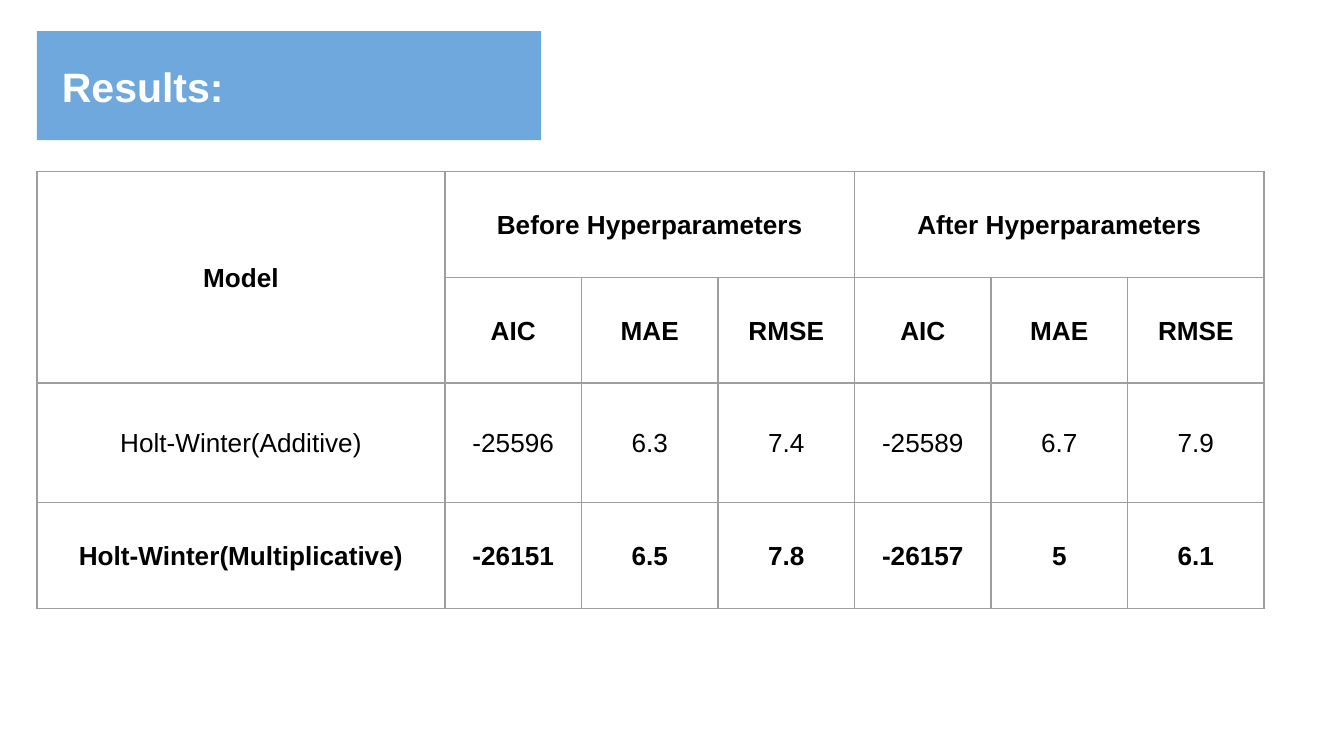
from lxml.etree import SubElement
from pptx import Presentation
from pptx.dml.color import RGBColor
from pptx.enum.shapes import MSO_SHAPE as Preset
from pptx.enum.text import MSO_ANCHOR as Anchor, MSO_AUTO_SIZE as AutoSize, PP_ALIGN as Align
from pptx.oxml.ns import qn
from pptx.util import Cm, Pt


def color(hex_code):
    return RGBColor.from_string(hex_code)


class ResultsSlide:
    FONT = "Arial"
    BLUE, WHITE, BLACK, GREY = "6FA8DC", "FFFFFF", "000000", "9E9E9E"

    def __init__(self, deck):
        self.slide = deck.slides.add_slide(deck.slide_layouts[5])
        self.shapes = self.slide.shapes

    def add_text(self, frame, text, size, hex_code, bold, align):
        paragraph = frame.paragraphs[0]
        paragraph.alignment = align
        run = paragraph.add_run()
        run.text = text
        run.font.name = self.FONT
        run.font.size = Pt(size)
        run.font.bold = bold
        run.font.color.rgb = color(hex_code)

    def banner(self, left, top, width, height):
        band = self.shapes.add_shape(Preset.RECTANGLE, Cm(left), Cm(top), Cm(width), Cm(height))
        band.shadow.inherit = False
        band.fill.solid()
        band.fill.fore_color.rgb = color(self.BLUE)
        band.line.fill.background()

    def title(self, text, left, top, width, height):
        heading = self.shapes.title
        heading.left, heading.top = Cm(left), Cm(top)
        heading.width, heading.height = Cm(width), Cm(height)
        frame = heading.text_frame
        frame.auto_size = AutoSize.NONE
        frame.word_wrap = True
        frame.vertical_anchor = Anchor.BOTTOM
        frame.margin_left = frame.margin_right = Cm(0.25)
        frame.margin_top = frame.margin_bottom = Cm(0.25)
        self.add_text(frame, text, 22, self.WHITE, True, Align.LEFT)
        # The title stands in front of the banner
        self.shapes.element.append(heading.element)

    def borders(self, cell):
        properties = cell._tc.get_or_add_tcPr()
        for side in ("a:lnL", "a:lnR", "a:lnT", "a:lnB"):
            line = SubElement(properties, qn(side), w=str(Pt(0.75)))
            fill = SubElement(line, qn("a:solidFill"))
            SubElement(fill, qn("a:srgbClr"), val=self.GREY)

    def table(self, rows, bold_rows, merges, left, top, widths, heights):
        grid = self.shapes.add_table(len(rows), len(widths), Cm(left), Cm(top),
                                     Cm(sum(widths)), Cm(sum(heights))).table
        grid.first_row = grid.horz_banding = False
        for column, width in zip(grid.columns, widths):
            column.width = Cm(width)
        for row, height in zip(grid.rows, heights):
            row.height = Cm(height)
        for r, texts in enumerate(rows):
            for c, text in enumerate(texts):
                cell = grid.cell(r, c)
                self.borders(cell)
                cell.fill.background()
                cell.vertical_anchor = Anchor.MIDDLE
                cell.margin_left = cell.margin_right = cell.margin_top = Cm(0.03)
                cell.margin_bottom = 0
                if text:
                    self.add_text(cell.text_frame, text, 14, self.BLACK,
                                  r in bold_rows, Align.CENTER)
        for first, last in merges:
            grid.cell(*first).merge(grid.cell(*last))


def main():
    deck = Presentation()
    deck.slide_width, deck.slide_height = Cm(25.4), Cm(14.29)
    results = ResultsSlide(deck)

    # Heading
    results.banner(0.7, 0.59, 9.53, 2.06)
    results.title("Results:", 0.92, -0.3, 12.93, 2.64)

    # Model scores before and after tuning
    measures = ["AIC", "MAE", "RMSE"]
    scores = [
        ["Model", "Before Hyperparameters", "", "", "After Hyperparameters", "", ""],
        [""] + measures * 2,
        ["Holt-Winter(Additive)", "-25596", "6.3", "7.4", "-25589", "6.7", "7.9"],
        ["Holt-Winter(Multiplicative)", "-26151", "6.5", "7.8", "-26157", "5", "6.1"],
    ]
    merges = [((0, 0), (1, 0)), ((0, 1), (0, 3)), ((0, 4), (0, 6))]
    results.table(scores, {0, 1, 3}, merges, 0.7, 3.24,
                  widths=[7.71] + [2.58] * 6, heights=[2, 2, 2.26, 2])

    deck.save("out.pptx")


if __name__ == "__main__":
    main()
